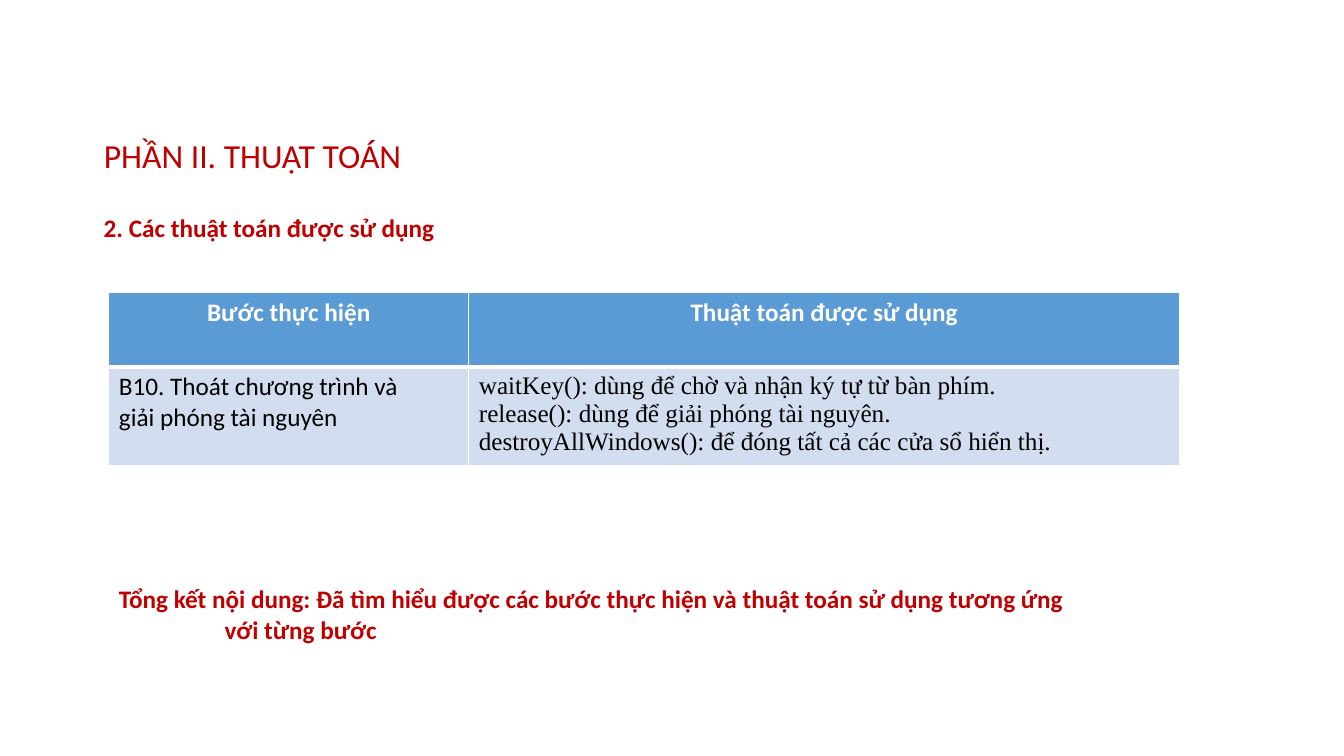
from dataclasses import dataclass

from lxml import etree
from pptx import Presentation
from pptx.dml.color import RGBColor
from pptx.enum.text import MSO_ANCHOR, PP_ALIGN
from pptx.oxml.ns import qn
from pptx.slide import Slide
from pptx.table import _Cell
from pptx.text.text import TextFrame
from pptx.util import Inches, Pt

LEFT, CENTER = PP_ALIGN.LEFT, PP_ALIGN.CENTER
MIDDLE = MSO_ANCHOR.MIDDLE
TITLE_ONLY_LAYOUT = 5


@dataclass(frozen=True)
class Theme:
    red: str = "C00000"
    white: str = "FFFFFF"
    black: str = "000000"
    header_fill: str = "5B9BD5"
    body_fill: str = "D2DEEF"
    sans: str = "Calibri"
    serif: str = "Times New Roman"
    title_size: int = 24
    text_size: int = 18
    thin_border: float = 1
    thick_border: float = 3


THEME = Theme()


@dataclass(frozen=True)
class TextStyle:
    color: str
    font: str = THEME.sans
    size: int = THEME.text_size
    bold: bool = False
    alignment: PP_ALIGN = LEFT


@dataclass(frozen=True)
class Note:
    text: str
    left: float
    top: float
    width: float
    height: float
    hanging_indent: float = 0


@dataclass(frozen=True)
class CellContent:
    text: str
    style: TextStyle
    fill: str


TITLE_STYLE = TextStyle(THEME.red, size=THEME.title_size)
NOTE_STYLE = TextStyle(THEME.red, bold=True)
HEADER_STYLE = TextStyle(THEME.white, bold=True, alignment=CENTER)
STEP_STYLE = TextStyle(THEME.black)
FUNCTION_STYLE = TextStyle(THEME.black, font=THEME.serif)

NOTES = [
    Note("2. Các thuật toán được sử dụng", 0.93, 2.06, 10.94, 0.4),
    Note("Tổng kết nội dung: Đã tìm hiểu được các bước thực hiện và thuật toán "
         "sử dụng tương ứng\vvới từng bước", 1.08, 5.74, 10.62, 0.71, 1.05),
]
COLUMN_WIDTHS = [3.57, 7.05]
ROW_HEIGHTS = [0.74, 0.98]
TABLE_ROWS = [
    [CellContent("Bước thực hiện", HEADER_STYLE, THEME.header_fill),
     CellContent("Thuật toán được sử dụng", HEADER_STYLE, THEME.header_fill)],
    [CellContent("B10. Thoát chương trình và\vgiải phóng tài nguyên",
                 STEP_STYLE, THEME.body_fill),
     CellContent("waitKey(): dùng để chờ và nhận ký tự từ bàn phím.\n"
                 "release(): dùng để giải phóng tài nguyên.\n"
                 "destroyAllWindows(): để đóng tất cả các cửa sổ hiển thị.",
                 FUNCTION_STYLE, THEME.body_fill)],
]


def write_text(text_frame: TextFrame, text: str, style: TextStyle) -> None:
    text_frame.text = text
    for paragraph in text_frame.paragraphs:
        paragraph.alignment = style.alignment
        for run in paragraph.runs:
            run.font.name = style.font
            run.font.size = Pt(style.size)
            run.font.bold = style.bold
            run.font.color.rgb = RGBColor.from_string(style.color)


def set_borders(cell: _Cell, top: float, bottom: float) -> None:
    """Draw white borders; the widths are in points."""
    properties = cell._tc.get_or_add_tcPr()
    widths = {"a:lnL": THEME.thin_border, "a:lnR": THEME.thin_border,
              "a:lnT": top, "a:lnB": bottom}
    for position, (tag, width) in enumerate(widths.items()):
        line = etree.Element(qn(tag), w=str(Pt(width)))
        fill = etree.SubElement(line, qn("a:solidFill"))
        etree.SubElement(fill, qn("a:srgbClr"), val=THEME.white)
        properties.insert(position, line)


def add_title(slide: Slide) -> None:
    title = slide.shapes.title
    title.left, title.top = Inches(0.93), Inches(0.84)
    title.width, title.height = Inches(11.5), Inches(1.45)
    title.text_frame.vertical_anchor = MIDDLE
    write_text(title.text_frame, "PHẦN II. THUẬT TOÁN", TITLE_STYLE)
    title.text_frame.paragraphs[0].line_spacing = 0.9


def add_note(slide: Slide, note: Note) -> None:
    box = slide.shapes.add_textbox(Inches(note.left), Inches(note.top),
                                   Inches(note.width), Inches(note.height))
    box.text_frame.word_wrap = True
    write_text(box.text_frame, note.text, NOTE_STYLE)
    if note.hanging_indent:
        properties = box.text_frame.paragraphs[0]._p.get_or_add_pPr()
        properties.set("marL", str(Inches(note.hanging_indent)))
        properties.set("indent", str(-Inches(note.hanging_indent)))


def add_algorithm_table(slide: Slide) -> None:
    table = slide.shapes.add_table(
        len(ROW_HEIGHTS), len(COLUMN_WIDTHS), Inches(1.08), Inches(2.9),
        Inches(sum(COLUMN_WIDTHS)), Inches(sum(ROW_HEIGHTS))).table
    for column, width in zip(table.columns, COLUMN_WIDTHS):
        column.width = Inches(width)
    for row_index, (row, height) in enumerate(zip(table.rows, ROW_HEIGHTS)):
        row.height = Inches(height)
        is_header = row_index == 0
        top = THEME.thin_border if is_header else THEME.thick_border
        bottom = THEME.thick_border if is_header else THEME.thin_border
        for cell, content in zip(row.cells, TABLE_ROWS[row_index]):
            write_text(cell.text_frame, content.text, content.style)
            cell.fill.solid()
            cell.fill.fore_color.rgb = RGBColor.from_string(content.fill)
            set_borders(cell, top, bottom)


def main() -> None:
    presentation = Presentation()
    presentation.slide_width = Inches(13.33)
    presentation.slide_height = Inches(7.5)
    layout = presentation.slide_layouts[TITLE_ONLY_LAYOUT]
    slide = presentation.slides.add_slide(layout)
    add_title(slide)
    add_algorithm_table(slide)
    for note in NOTES:
        add_note(slide, note)
    presentation.save("out.pptx")


if __name__ == "__main__":
    main()
